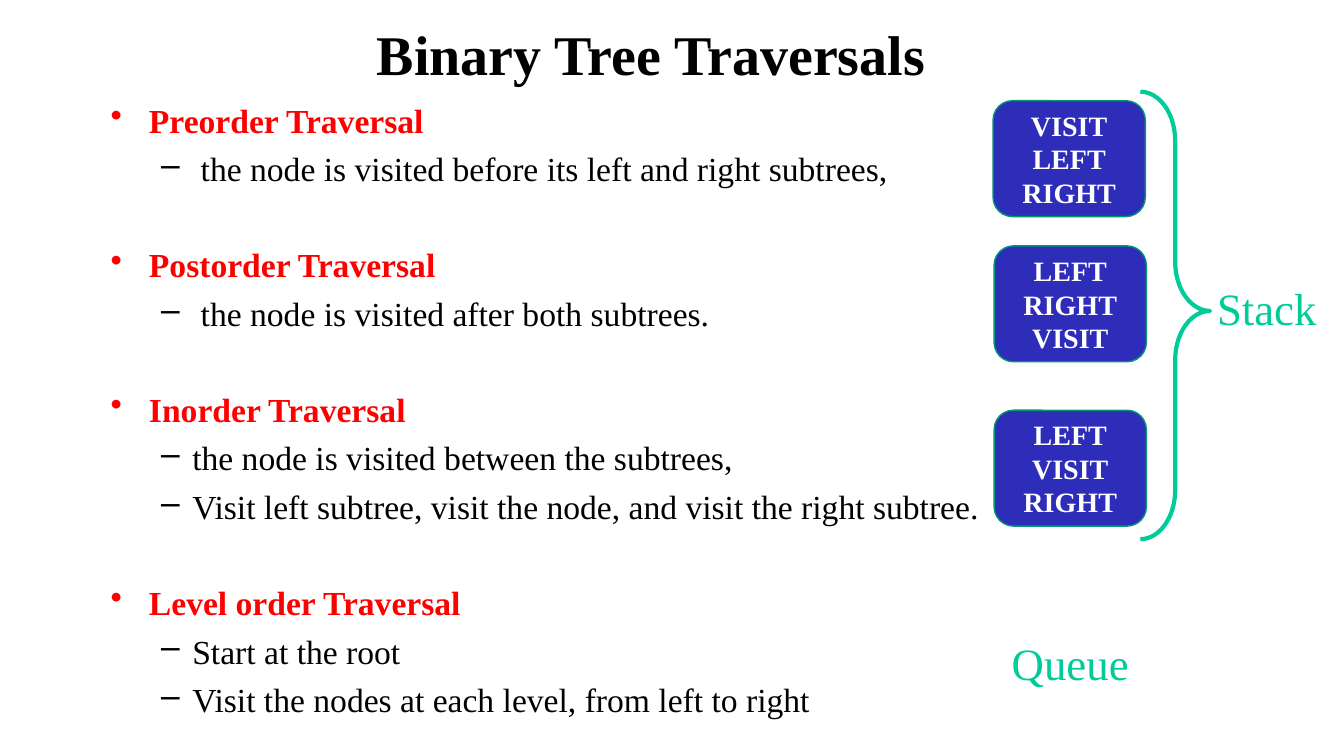
import dataclasses
import typing

import pptx
import pptx.dml.color
import pptx.enum.shapes
import pptx.enum.text
import pptx.oxml
import pptx.oxml.ns
import pptx.util

RGB = pptx.dml.color.RGBColor
BLACK = RGB(0x00, 0x00, 0x00)
WHITE = RGB(0xFF, 0xFF, 0xFF)
RED = RGB(0xFF, 0x00, 0x00)
BLUE = RGB(0x2D, 0x2D, 0xB9)
GREEN = RGB(0x00, 0xCC, 0x99)
DARK_GREEN = RGB(0x00, 0x97, 0x71)
FONT = "Times New Roman"
WIDTH, HEIGHT = pptx.util.Inches(13.33), pptx.util.Inches(7.5)
SHAPE = pptx.enum.shapes.MSO_SHAPE
ALIGN = pptx.enum.text.PP_ALIGN
MIDDLE = pptx.enum.text.MSO_ANCHOR.MIDDLE
LINE_GAP, SECTION_GAP = 6, 39.6


@dataclasses.dataclass(frozen=True)
class Area:
    """Percentages of the slide's width and height."""
    left: float
    top: float
    width: float
    height: float

    def emu(self) -> tuple[int, int, int, int]:
        return (int(WIDTH * self.left / 100), int(HEIGHT * self.top / 100),
                int(WIDTH * self.width / 100), int(HEIGHT * self.height / 100))


@dataclasses.dataclass(frozen=True)
class Traversal:
    name: str
    points: tuple[str, ...]


@dataclasses.dataclass(frozen=True)
class OrderBox:
    left: float
    top: float
    steps: tuple[str, ...]


@dataclasses.dataclass(frozen=True)
class Label:
    text: str
    area: Area


TRAVERSALS = (
    Traversal("Preorder Traversal",
              (" the node is visited before its left and right subtrees,",)),
    Traversal("Postorder Traversal",
              (" the node is visited after both subtrees.",)),
    Traversal("Inorder Traversal",
              ("the node is visited between the subtrees,",
               "Visit left subtree, visit the node, and visit the right subtree.")),
    Traversal("Level order Traversal",
              ("Start at the root",
               "Visit the nodes at each level, from left to right")),
)
ORDER_BOXES = (
    OrderBox(73.89, 13.33, ("VISIT", "LEFT", "RIGHT")),
    OrderBox(73.97, 32.53, ("LEFT", "RIGHT", "VISIT")),
    OrderBox(73.97, 54.27, ("LEFT", "VISIT", "RIGHT")),
)
LABELS = (
    Label("Stack", Area(89.72, 37.2, 9.08, 7.07)),
    Label("Queue", Area(73.97, 84.13, 11.33, 7.07)),
)


def write(p: typing.Any, text: str, *, size: float, color: RGB,
          bold: bool = False, align: typing.Any = ALIGN.CENTER) -> None:
    p.alignment = align
    r = p.add_run()
    r.text = text
    r.font.name = FONT
    r.font.size = pptx.util.Pt(size)
    r.font.bold = bold
    r.font.color.rgb = color


def next_paragraph(tf: typing.Any) -> typing.Any:
    p = tf.paragraphs[0]
    return tf.add_paragraph() if p.runs else p


def set_bullet(p: typing.Any, char: str, left: float, hang: float) -> None:
    pPr = p._p.get_or_add_pPr()
    pPr.set("marL", str(pptx.util.Inches(left)))
    pPr.set("indent", str(-pptx.util.Inches(hang)))
    bullet = pptx.oxml.parse_xml(
        f'<a:buChar {pptx.oxml.ns.nsdecls("a")} char="{char}"/>')
    pPr.append(bullet)


def add_title(s: typing.Any, text: str, area: Area) -> None:
    sp = s.shapes.title
    sp.left, sp.top, sp.width, sp.height = area.emu()
    tf = sp.text_frame
    tf.vertical_anchor = MIDDLE
    write(tf.paragraphs[0], text, size=40, color=BLACK, bold=True)


def add_outline(s: typing.Any, area: Area) -> None:
    tf = s.shapes.add_textbox(*area.emu()).text_frame
    tf.word_wrap = True
    for i, traversal in enumerate(TRAVERSALS):
        p = next_paragraph(tf)
        p.space_before = pptx.util.Pt(SECTION_GAP if i else LINE_GAP)
        set_bullet(p, "•", 0.38, 0.38)
        write(p, traversal.name, size=24, color=RED, bold=True, align=ALIGN.LEFT)
        for point in traversal.points:
            p = next_paragraph(tf)
            p.level = 1
            p.space_before = pptx.util.Pt(LINE_GAP)
            set_bullet(p, "–", 0.81, 0.31)
            write(p, point, size=24, color=BLACK, align=ALIGN.LEFT)


def add_order_box(s: typing.Any, box: OrderBox) -> None:
    area = Area(box.left, box.top, 11.33, 15.33)
    sp = s.shapes.add_shape(SHAPE.ROUNDED_RECTANGLE, *area.emu())
    sp.shadow.inherit = False
    sp.fill.solid()
    sp.fill.fore_color.rgb = BLUE
    sp.line.color.rgb = DARK_GREEN
    sp.line.width = pptx.util.Pt(1)
    tf = sp.text_frame
    tf.vertical_anchor = MIDDLE
    for step in box.steps:
        write(next_paragraph(tf), step, size=20, color=WHITE, bold=True)


def add_brace(s: typing.Any, area: Area) -> None:
    sp = s.shapes.add_shape(SHAPE.RIGHT_BRACE, *area.emu())
    sp.shadow.inherit = False
    sp.adjustments[0] = 0.71
    sp.adjustments[1] = 0.49
    sp.fill.background()
    sp.line.color.rgb = GREEN
    sp.line.width = pptx.util.Pt(3)


def add_label(s: typing.Any, label: Label) -> None:
    tf = s.shapes.add_textbox(*label.area.emu()).text_frame
    tf.word_wrap = True
    tf.vertical_anchor = MIDDLE
    write(tf.paragraphs[0], label.text, size=32, color=GREEN)


def main() -> None:
    prs = pptx.Presentation()
    prs.slide_width, prs.slide_height = WIDTH, HEIGHT
    s = prs.slides.add_slide(prs.slide_layouts.get_by_name("Title Only"))
    add_title(s, "Binary Tree Traversals", Area(5.93, 1.47, 85, 11.07))
    add_outline(s, Area(7.5, 12.53, 66.39, 85.87))
    for box in ORDER_BOXES:
        add_order_box(s, box)
    add_brace(s, Area(84.85, 12.13, 5.18, 59.2))
    for label in LABELS:
        add_label(s, label)
    prs.save("out.pptx")


if __name__ == "__main__":
    main()
